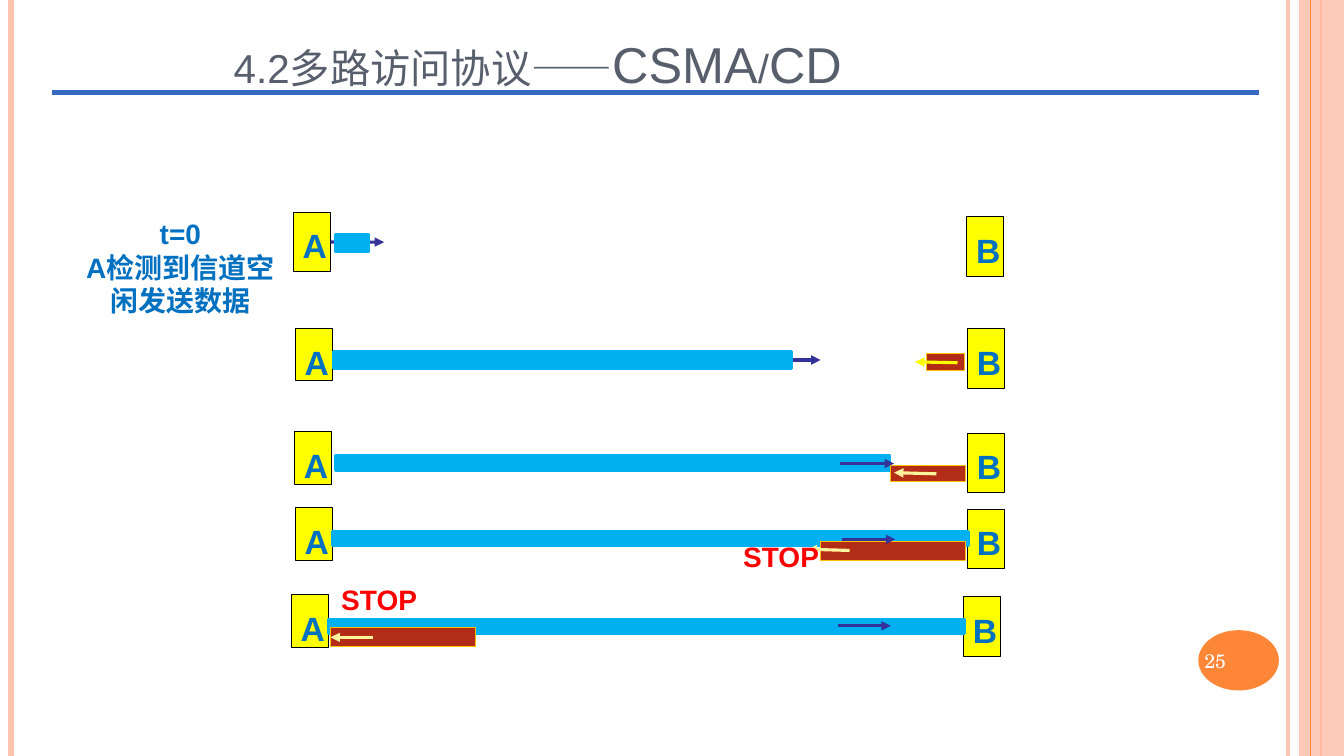
from dataclasses import dataclass

from lxml.etree import SubElement
from pptx import Presentation
from pptx.dml.color import RGBColor
from pptx.enum.shapes import MSO_CONNECTOR as Line, MSO_SHAPE as Preset
from pptx.enum.text import MSO_ANCHOR as Anchor, PP_ALIGN as Align
from pptx.oxml.ns import qn
from pptx.shapes.autoshape import Shape
from pptx.shapes.connector import Connector
from pptx.slide import Slide
from pptx.util import Cm, Pt

WHITE = RGBColor(0xFF, 0xFF, 0xFF)
BLACK = RGBColor(0x00, 0x00, 0x00)
PEACH = RGBColor(0xFE, 0xC3, 0xAE)
ORANGE = RGBColor(0xFE, 0x86, 0x37)
YELLOW = RGBColor(0xFF, 0xFF, 0x00)
PALE_YELLOW = RGBColor(0xFF, 0xF3, 0x9D)
GOLD = RGBColor(0xFF, 0xC0, 0x00)
SKY = RGBColor(0x00, 0xB0, 0xF0)
BLUE = RGBColor(0x00, 0x70, 0xC0)
RULE_BLUE = RGBColor(0x36, 0x68, 0xC4)
NAVY = RGBColor(0x33, 0x33, 0x99)
BRICK = RGBColor(0xB3, 0x2C, 0x16)
RED = RGBColor(0xFF, 0x00, 0x00)
SLATE = RGBColor(0x57, 0x5F, 0x6D)

WIDTH, HEIGHT = 33.87, 19.05


@dataclass
class Station:
    name: str
    left: float
    top: float
    height: float = 1.5


@dataclass
class Bar:
    left: float
    top: float
    width: float
    height: float
    fill: RGBColor = SKY
    edge: RGBColor = SKY
    edge_width: float = 2


@dataclass
class Jam(Bar):
    fill: RGBColor = BRICK
    edge: RGBColor = GOLD
    edge_width: float = 0.75


@dataclass
class Arrow:
    x1: float
    y1: float
    x2: float
    y2: float
    color: RGBColor = NAVY
    from_station: bool = False
    to_bar: bool = False


@dataclass
class Label:
    left: float
    top: float
    width: float
    height: float
    lines: list[str]
    size: float
    color: RGBColor
    bold: bool = True
    font: str = "Arial"
    align: Align = Align.CENTER
    anchor: Anchor = Anchor.TOP


@dataclass
class Stage:
    a: Station
    b: Station
    items: list[Bar | Arrow | Label]


def stop(left: float, top: float) -> Label:
    return Label(left, top, 5.69, 1.12, ["STOP"], 20, RED)


STAGES = [
    Stage(Station("A", 7.39, 5.35), Station("B", 24.36, 5.46), [
        Arrow(8.33, 6.1, 9.68, 6.1, from_station=True),
        Bar(8.46, 5.92, 0.84, 0.43),
    ]),
    Stage(Station("A", 7.44, 8.28, 1.32), Station("B", 24.38, 8.28), [
        Arrow(19.33, 9.07, 20.68, 9.07),
        Bar(8.41, 8.86, 11.53, 0.43),
        Jam(23.34, 8.92, 0.97, 0.41),
        Arrow(24.13, 9.14, 23.06, 9.12, YELLOW),
    ]),
    Stage(Station("A", 7.42, 10.88, 1.32), Station("B", 24.38, 10.92), [
        Bar(8.46, 11.48, 13.97, 0.38),
        Jam(22.45, 11.73, 1.88, 0.41),
        Arrow(23.6, 11.94, 22.53, 11.91, PALE_YELLOW),
        Arrow(21.18, 11.68, 22.53, 11.68),
    ]),
    Stage(Station("A", 7.44, 12.8, 1.32), Station("B", 24.38, 12.83), [
        Bar(8.38, 13.39, 16.03, 0.36),
        Jam(20.68, 13.64, 3.66, 0.48),
        Arrow(21.41, 13.87, 20.35, 13.84, PALE_YELLOW),
        Arrow(21.21, 13.59, 22.56, 13.59),
        stop(16.84, 13.46),
    ]),
    Stage(Station("A", 7.34, 14.99, 1.32), Station("B", 24.28, 15.04), [
        Bar(8.28, 15.6, 16.03, 0.36),
        Arrow(21.11, 15.77, 22.45, 15.77),
        Jam(8.33, 15.82, 3.66, 0.48),
        stop(6.71, 14.55),
        Arrow(9.4, 16.06, 8.33, 16.06, PALE_YELLOW, to_bar=True),
    ]),
]


def add_alpha(shape: Shape | Connector, percent: int) -> None:
    color = next(shape._element.spPr.iter(qn("a:srgbClr")))
    SubElement(color, qn("a:alpha"), val=str(percent * 1000))


def draw_line(page: Slide, x1: float, y1: float, x2: float, y2: float,
              color: RGBColor, width: float) -> Connector:
    line = page.shapes.add_connector(Line.STRAIGHT, Cm(x1), Cm(y1), Cm(x2), Cm(y2))
    line.line.color.rgb = color
    line.line.width = Pt(width)
    SubElement(line._element.spPr, qn("a:effectLst"))
    return line


def draw_shape(page: Slide, preset: Preset, left: float, top: float, width: float,
               height: float, fill: RGBColor) -> Shape:
    shape = page.shapes.add_shape(preset, Cm(left), Cm(top), Cm(width), Cm(height))
    shape.shadow.inherit = False
    shape.fill.solid()
    shape.fill.fore_color.rgb = fill
    shape.line.fill.background()
    return shape


def draw_bar(page: Slide, bar: Bar) -> Shape:
    shape = draw_shape(page, Preset.RECTANGLE, bar.left, bar.top, bar.width, bar.height, bar.fill)
    shape.line.color.rgb = bar.edge
    shape.line.width = Pt(bar.edge_width)
    return shape


def draw_station(page: Slide, station: Station) -> Shape:
    shape = draw_bar(page, Bar(station.left, station.top, 0.94, station.height,
                               YELLOW, BLACK, 0.75))
    frame = shape.text_frame
    frame.word_wrap = False
    frame.vertical_anchor = Anchor.TOP
    frame.margin_left = Cm(0.15)
    frame.margin_right = frame.margin_bottom = Cm(0)
    para = frame.paragraphs[0]
    para.text = station.name
    para.alignment = Align.CENTER
    para.line_spacing = 1.2
    para.font.name, para.font.size, para.font.bold = "Arial", Pt(24), True
    para.font.color.rgb = BLUE
    return shape


def draw_arrow(page: Slide, arrow: Arrow, station: Shape, bar: Shape | None) -> None:
    line = draw_line(page, arrow.x1, arrow.y1, arrow.x2, arrow.y2, arrow.color, 2.25)
    SubElement(line.line._get_or_add_ln(), qn("a:tailEnd"), type="triangle")
    if arrow.from_station:
        line.begin_connect(station, 3)
    if arrow.to_bar and bar is not None:
        line.end_connect(bar, 1)


def draw_label(page: Slide, label: Label) -> Shape:
    box = page.shapes.add_textbox(Cm(label.left), Cm(label.top), Cm(label.width), Cm(label.height))
    frame = box.text_frame
    frame.word_wrap = True
    frame.vertical_anchor = label.anchor
    frame.text = "\n".join(label.lines)
    for para in frame.paragraphs:
        para.alignment = label.align
        para.font.name, para.font.size, para.font.bold = label.font, Pt(label.size), label.bold
        para.font.color.rgb = label.color
    return box


def draw_stage(page: Slide, stage: Stage) -> None:
    sender = draw_station(page, stage.a)
    draw_station(page, stage.b)
    bar = None
    for item in stage.items:
        if isinstance(item, Bar):
            bar = draw_bar(page, item)
        elif isinstance(item, Arrow):
            draw_arrow(page, item, sender, bar)
        else:
            draw_label(page, item)


def draw_frame(page: Slide) -> None:
    add_alpha(draw_line(page, 32.46, 0, 32.46, HEIGHT, PEACH, 3), 93)
    draw_line(page, 0.28, 0, 0.28, HEIGHT, PEACH, 4.5)
    draw_line(page, 33.3, 0, 33.3, HEIGHT, ORANGE, 1.5)
    add_alpha(draw_shape(page, Preset.RECTANGLE, 32.74, 0, 1.13, HEIGHT, PEACH), 87)
    draw_line(page, 33.02, 0, 33.02, HEIGHT, ORANGE, 0.75)
    draw_shape(page, Preset.OVAL, 30.2, 15.88, 2.03, 1.52, ORANGE)
    draw_label(page, Label(30.1, 15.93, 2.26, 1.45, ["25"], 14, WHITE, False,
                           "TeX Gyre Schola", Align.LEFT, Anchor.MIDDLE))


def main() -> None:
    deck = Presentation()
    deck.slide_width, deck.slide_height = Cm(WIDTH), Cm(HEIGHT)
    page = deck.slides.add_slide(deck.slide_layouts[6])
    draw_frame(page)
    draw_label(page, Label(1.7, 5.33, 5.69, 2.82, ["t=0", "A检测到信道空闲发送数据"], 20, BLUE))
    for stage in STAGES:
        draw_stage(page, stage)
    title = draw_label(page, Label(5.64, 0.33, 22.61, 2.16, ["4.2多路访问协议——CSMA/CD"], 36, SLATE,
                                   False, "Arial", Align.LEFT, Anchor.BOTTOM))
    for span in title.text_frame.paragraphs[0].runs:
        span._r.get_or_add_rPr().set("cap", "small")
    draw_line(page, 1.32, 2.34, 31.72, 2.34, RULE_BLUE, 3.5)
    deck.save("out.pptx")


if __name__ == "__main__":
    main()
